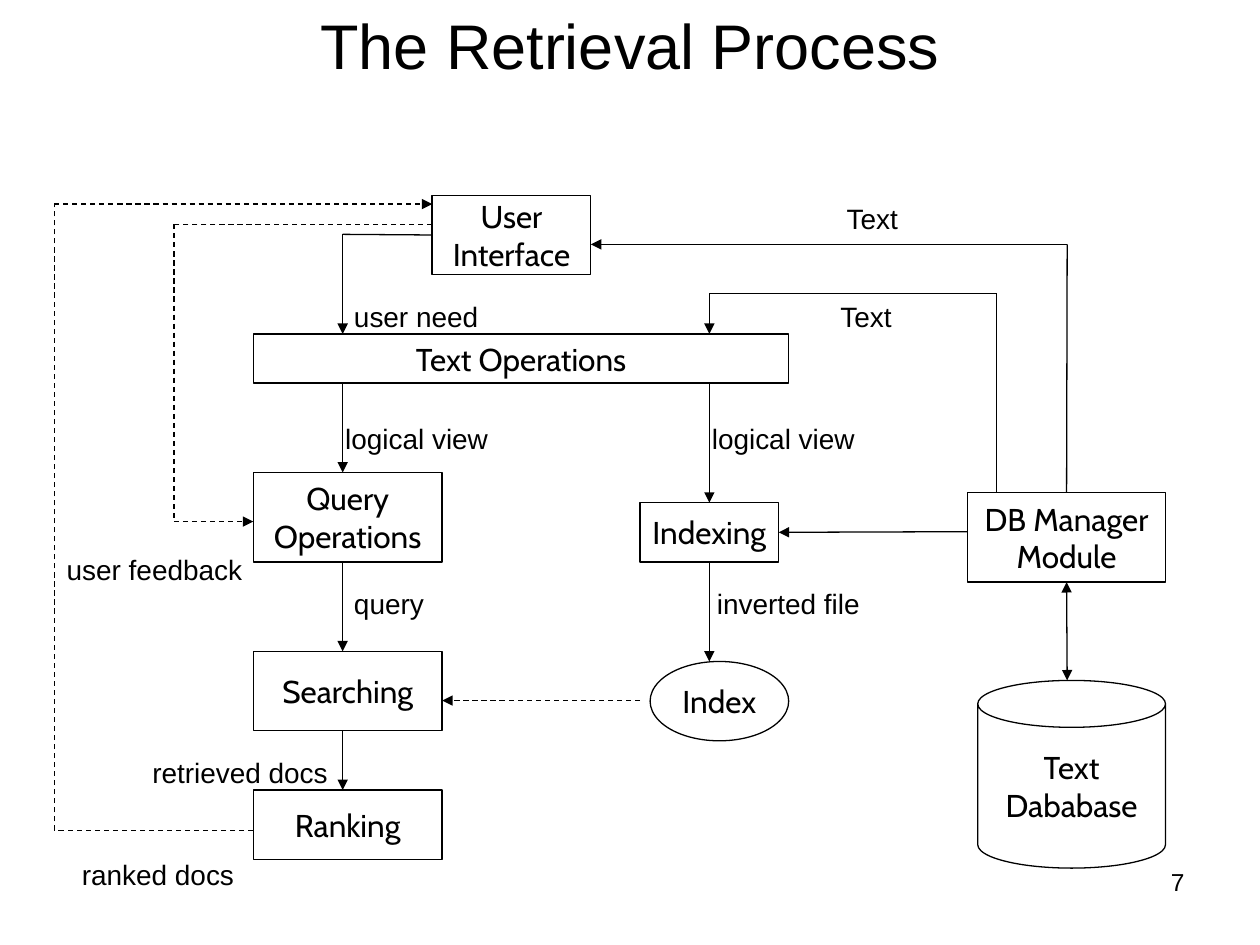
import pptx
import pptx.util
import pptx.dml.color
import pptx.enum.dml
import pptx.enum.shapes
import pptx.enum.text
import pptx.oxml.ns
import lxml.etree

Inches = pptx.util.Inches
Pt = pptx.util.Pt
kinds = pptx.enum.shapes.MSO_SHAPE
aligns = pptx.enum.text.PP_ALIGN
hues = {"ink": "000000", "paper": "FFFFFF"}
ink = pptx.dml.color.RGBColor.from_string(hues["ink"])
paper = pptx.dml.color.RGBColor.from_string(hues["paper"])

deck = pptx.Presentation()
deck.slide_width = Inches(10)
deck.slide_height = Inches(7.5)
slide = deck.slides.add_slide(deck.slide_layouts[6])


def write(shape, text, size, font, align, wrap=True):
    frame = shape.text_frame
    frame.word_wrap = wrap
    frame.vertical_anchor = pptx.enum.text.MSO_ANCHOR.MIDDLE
    frame.text = text
    for para in frame.paragraphs:
        para.alignment = align
        para.font.size = Pt(size)
        para.font.name = font
        para.font.color.rgb = ink
    return frame


def link(start, end, dash=False, ends=(), begin=None, finish=None):
    points = [Inches(n) for n in (*start, *end)]
    line = slide.shapes.add_connector(pptx.enum.shapes.MSO_CONNECTOR.STRAIGHT, *points)
    line.line.color.rgb = ink
    line.line.width = Pt(0.75)
    if dash:
        line.line.dash_style = pptx.enum.dml.MSO_LINE.DASH
    stroke = line.line._get_or_add_ln()
    for tag in ends:
        lxml.etree.SubElement(stroke, pptx.oxml.ns.qn(f"a:{tag}"), type="triangle")
    lxml.etree.SubElement(line._element.spPr, pptx.oxml.ns.qn("a:effectLst"))
    if begin:
        line.begin_connect(boxes[begin[0]], begin[1])
    if finish:
        line.end_connect(boxes[finish[0]], finish[1])


title = slide.shapes.add_textbox(0, 0, Inches(10), Inches(0.71))
write(title, "The Retrieval Process", 36, "Arial", aligns.CENTER)

labels = [
    ("Text", 6.72, 1.73),
    ("user need", 2.81, 2.51),
    ("Text", 6.67, 2.51),
    ("logical view", 2.74, 3.48),
    ("logical view", 5.65, 3.48),
    ("user feedback", 0.53, 4.52),
    ("query", 2.81, 4.79),
    ("inverted file", 5.69, 4.79),
    ("retrieved docs", 1.21, 6.13),
    ("ranked docs", 0.65, 6.94),
]
for text, left, mid in labels:
    label = slide.shapes.add_textbox(Inches(left), Inches(mid - 0.13), Inches(1.6), Inches(0.26))
    frame = write(label, text, 16, "Arial", aligns.LEFT)
    frame.margin_left = frame.margin_right = frame.margin_top = frame.margin_bottom = 0

nodes = [
    ("user", "User\nInterface", kinds.RECTANGLE, 3.43, 1.55, 1.26, 0.63),
    ("text", "Text Operations", kinds.RECTANGLE, 2.01, 2.65, 4.25, 0.39),
    ("query", "Query\nOperations", kinds.RECTANGLE, 2.01, 3.75, 1.5, 0.71),
    ("search", "Searching", kinds.RECTANGLE, 2.01, 5.17, 1.5, 0.63),
    ("rank", "Ranking", kinds.RECTANGLE, 2.01, 6.27, 1.5, 0.55),
    ("indexing", "Indexing", kinds.RECTANGLE, 5.08, 3.99, 1.1, 0.47),
    ("index", "Index", kinds.OVAL, 5.16, 5.25, 1.1, 0.63),
    ("module", "DB Manager\nModule", kinds.RECTANGLE, 7.68, 3.91, 1.57, 0.71),
    ("store", "Text\nDababase", kinds.CAN, 7.76, 5.4, 1.49, 1.49),
]
boxes = {}
for name, text, kind, *place in nodes:
    box = slide.shapes.add_shape(kind, *[Inches(n) for n in place])
    box.shadow.inherit = False
    box.fill.solid()
    box.fill.fore_color.rgb = paper
    box.line.color.rgb = ink
    box.line.width = Pt(0.75)
    write(box, text, 18, "Cabin", aligns.CENTER, False)
    boxes[name] = box

tip = ("tailEnd",)
link((8.47, 4.62), (8.47, 5.4), ends=("headEnd", "tailEnd"), begin=("module", 2))
link((7.68, 4.22), (6.18, 4.22), ends=tip, finish=("indexing", 3))
link((5.63, 4.46), (5.63, 5.25), ends=tip, begin=("indexing", 2))
link((5.08, 5.56), (3.51, 5.56), dash=True, ends=tip)
for top, base in [(5.8, 6.27), (4.46, 5.17), (3.04, 3.75)]:
    link((2.72, top), (2.72, base), ends=tip)
link((5.63, 3.04), (5.63, 3.99), ends=tip, finish=("indexing", 0))
link((8.47, 3.91), (8.47, 1.94), begin=("module", 0))
link((3.43, 1.86), (2.72, 1.86), begin=("user", 1))

routes = [
    ([(7.91, 3.91), (7.91, 2.33), (5.63, 2.33), (5.63, 2.65)], False),
    ([(8.47, 1.94), (4.69, 1.94)], False),
    ([(2.72, 1.86), (2.72, 2.65)], False),
    ([(3.43, 1.78), (1.38, 1.78), (1.38, 4.14), (2.01, 4.14)], True),
    ([(2.01, 6.59), (0.43, 6.59), (0.43, 1.62), (3.43, 1.62)], True),
]
for route, dash in routes:
    for start, end in zip(route, route[1:]):
        link(start, end, dash, tip if end == route[-1] else ())

number = slide.shapes.add_textbox(Inches(7.17), Inches(6.83), Inches(2.33), Inches(0.52))
frame = write(number, "7", 14, "Arial", aligns.RIGHT)
frame.vertical_anchor = pptx.enum.text.MSO_ANCHOR.TOP

deck.save("out.pptx")
